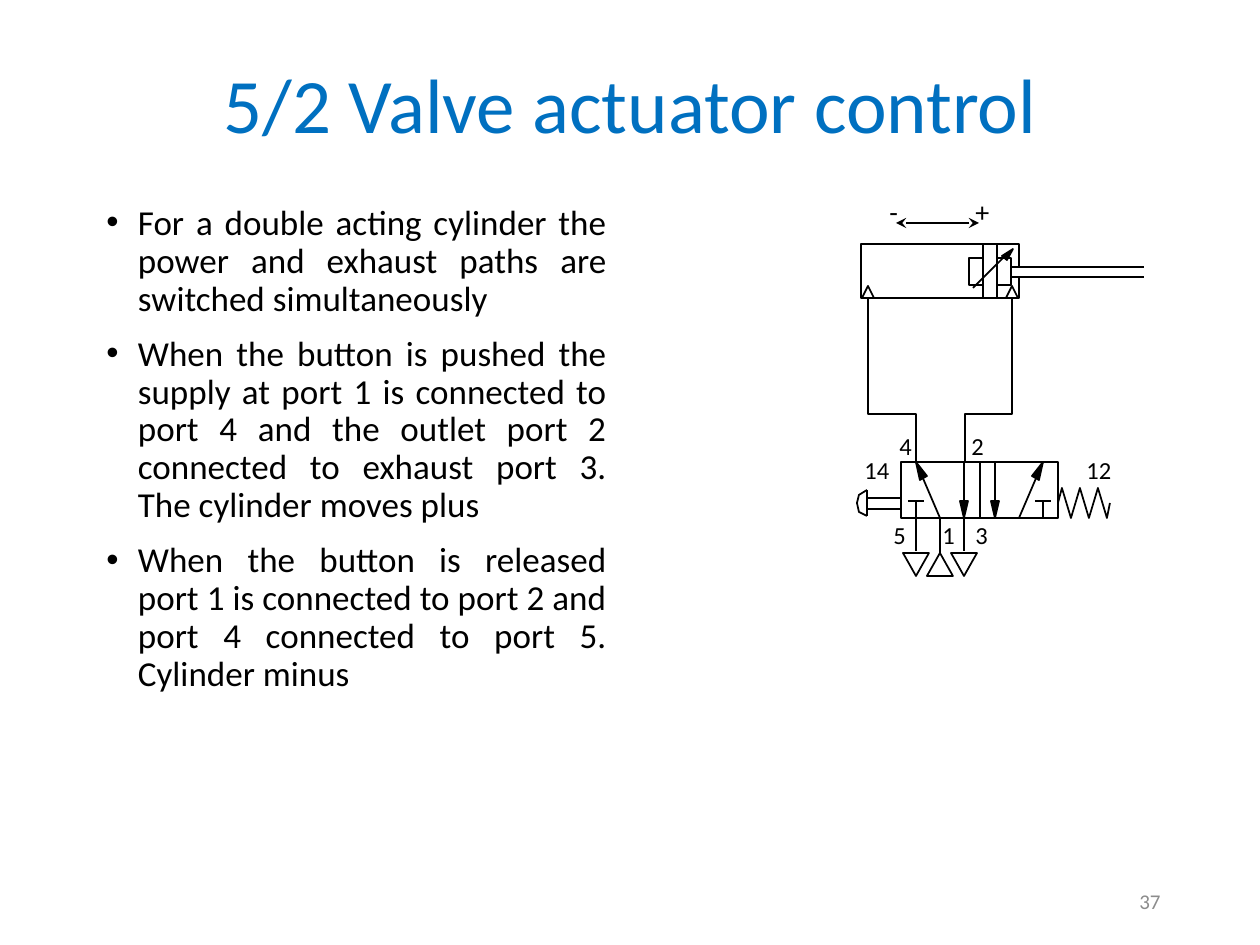
from lxml import etree
from pptx import Presentation
from pptx import util as u
from pptx.dml.color import RGBColor
from pptx.enum import shapes, text
from pptx.oxml.ns import qn

SCALE = 914400 / 126
BLACK = "000000"
POINTS = [
    "For a double acting cylinder the power and exhaust paths are switched simultaneously",
    "When the button is pushed the supply at port 1 is connected to port 4 and the outlet "
    "port 2 connected to exhaust port 3. The cylinder moves plus",
    "When the button is released port 1 is connected to port 2 and port 4 connected to "
    "port 5. Cylinder minus",
]


def px(*lengths):
    """Turn pixel lengths into a list of EMU."""
    return [u.Emu(round(length * SCALE)) for length in lengths]


def colour(code):
    """Turn a hex string into a colour."""
    return RGBColor.from_string(code)


def style_text(para, size, code):
    """Format every run of a paragraph."""
    for span in para.runs:
        span.font.name = "Calibri"
        span.font.size = u.Pt(size)
        span.font.color.rgb = colour(code)


def add_label(page, words, place, size, code=BLACK, align=text.PP_ALIGN.LEFT, wrap=False):
    """Add a short text box."""
    frame = page.shapes.add_textbox(*px(*place)).text_frame
    frame.word_wrap = wrap
    frame.text = words
    frame.paragraphs[0].alignment = align
    style_text(frame.paragraphs[0], size, code)
    return frame


def add_title(page, words):
    """Place and format the title placeholder."""
    title = page.shapes.title
    title.left, title.top, title.width, title.height = px(160, 58, 941, 102)
    frame = title.text_frame
    frame.text = words
    frame.vertical_anchor = text.MSO_ANCHOR.MIDDLE
    para = frame.paragraphs[0]
    para.alignment = text.PP_ALIGN.CENTER
    para.line_spacing = 0.9
    style_text(para, 44, "0070C0")


def add_bullets(page, items):
    """Add the justified bullet list."""
    frame = page.shapes.add_textbox(*px(94, 199, 525, 620)).text_frame
    frame.word_wrap = True
    for index, item in enumerate(items):
        para = frame.add_paragraph() if index else frame.paragraphs[0]
        para.text = item
        props = para._p.get_or_add_pPr()
        props.set("marL", "228600")
        props.set("indent", "-228600")
        etree.SubElement(props, qn("a:buFont")).set("typeface", "Arial")
        etree.SubElement(props, qn("a:buChar")).set("char", "•")
        para.alignment = text.PP_ALIGN.JUSTIFY
        para.line_spacing = 0.9
        para.space_before = u.Pt(10 if index else 0)
        style_text(para, 20, BLACK)


def add_line(page, *ends, arrows=False):
    """Add a thin straight line, with arrowheads if asked."""
    line = page.shapes.add_connector(shapes.MSO_CONNECTOR.STRAIGHT, *px(*ends))
    line.line.color.rgb = colour(BLACK)
    line.line.width = u.Pt(1)
    if arrows:
        for end in ("a:headEnd", "a:tailEnd"):
            etree.SubElement(line.line._get_or_add_ln(), qn(end)).set("type", "stealth")
    etree.SubElement(line._element.spPr, qn("a:effectLst"))


def outline(shape, filled=False):
    """Give a shape a thin black outline and an optional black fill."""
    shape.shadow.inherit = False
    if filled:
        shape.fill.solid()
        shape.fill.fore_color.rgb = colour(BLACK)
    else:
        shape.fill.background()
    shape.line.color.rgb = colour(BLACK)
    shape.line.width = u.Pt(1)


def add_path(page, points, close=False, filled=False):
    """Add a freeform through the points."""
    builder = page.shapes.build_freeform(*points[0], scale=SCALE)
    builder.add_line_segments(points[1:], close=close)
    outline(builder.convert_to_shape(), filled)


def add_triangle(page, left, top, width, height, down=False):
    """Add a triangle that points up or down."""
    triangle = page.shapes.add_shape(
        shapes.MSO_SHAPE.ISOSCELES_TRIANGLE, *px(left, top, width, height))
    triangle.rotation = 180 if down else 0
    outline(triangle)


def draw_cylinder(page):
    """Draw the cylinder with its piston, rod and ports."""
    for port in (868, 1012):
        add_line(page, port, 298, port, 315)
        add_triangle(page, port - 6, 286, 12, 12)
    add_path(page, [(1019, 266), (1019, 244), (861, 244), (861, 298), (1019, 298), (1019, 277)])
    for rod in (267, 277):
        add_line(page, 1012, rod, 1144, rod)
    for face, side in ((983, 969), (997, 1011)):
        add_line(page, face, 245, face, 298)
        add_path(page, [(face, 258), (side, 258), (side, 285), (face, 285)])
    add_line(page, 973, 288, 1009, 252)
    add_path(page, [(1002, 256), (1007, 260), (1013, 249)], True, True)
    add_line(page, 979, 223, 896, 223, arrows=True)
    add_label(page, "+", (963, 188, 42, 47), 16)
    add_label(page, "-", (877, 188, 35, 47), 16)


def draw_valve(page):
    """Draw the valve body, flow paths and exhaust ports."""
    top, bottom, stop = 462, 518, 501
    add_path(page, [(901, top), (901, bottom), (1058, bottom), (1058, top)], True)
    for column in (980, 964, 995):
        add_line(page, column, top, column, bottom)
    for foot, head in ((940, 916), (1019, 1043)):
        add_line(page, foot, bottom, head, top)
    for column in (916, 1043):
        add_line(page, column, stop, column, bottom)
        add_line(page, column - 8, stop, column + 8, stop)
    for tip in (964, 995):
        add_path(page, [(tip, bottom), (tip - 4, 501), (tip + 4, 501)], True, True)
    for tip, lean in ((916, 1), (1043, -1)):
        add_path(page, [(tip, top), (tip + 4 * lean, 480), (tip + 11 * lean, 476)], True, True)
    for port, down in ((916, True), (940, False), (964, True)):
        add_line(page, port, bottom, port, 551 if down else 553)
        add_triangle(page, port - 13, 553, 26, 23, down)


def draw_controls(page):
    """Draw the push button and the return spring."""
    add_line(page, 867, 490, 867, 516)
    add_path(page, [(867, 490), (859, 495), (857, 503), (859, 512), (867, 516)])
    for stem in (498, 509):
        add_line(page, 868, stem, 901, stem)
    coils = [(1062 + 9 * step, 518 if step % 2 else 488) for step in range(6)]
    add_path(page, [(1058, 503)] + coils + [(1110, 503)])


def draw_pipes(page):
    """Draw the two pipes from cylinder to valve."""
    for port, outlet in ((868, 916), (1012, 965)):
        add_path(page, [(port, 298), (port, 414), (outlet, 414), (outlet, 462)])


def label_ports(page):
    """Number the ports and the control sides."""
    ports = [("1", 930, 514), ("2", 959, 425), ("4", 887, 425), ("5", 881, 514),
             ("3", 963, 514), ("14", 852, 449), ("12", 1074, 449)]
    for number, left, top in ports:
        add_label(page, number, (left, top, 26 + 13 * len(number), 42), 14)


def main():
    """Build the slide and save it."""
    deck = Presentation()
    deck.slide_width, deck.slide_height = px(1260, 945)
    page = deck.slides.add_slide(deck.slide_layouts[5])
    add_title(page, "5/2 Valve actuator control")
    add_bullets(page, POINTS)
    draw_cylinder(page)
    draw_valve(page)
    draw_controls(page)
    draw_pipes(page)
    label_ports(page)
    number = add_label(page, "37", (890, 876, 283, 50), 12, "8C8C8C", text.PP_ALIGN.RIGHT, True)
    number.vertical_anchor = text.MSO_ANCHOR.MIDDLE
    deck.save("out.pptx")


if __name__ == "__main__":
    main()
